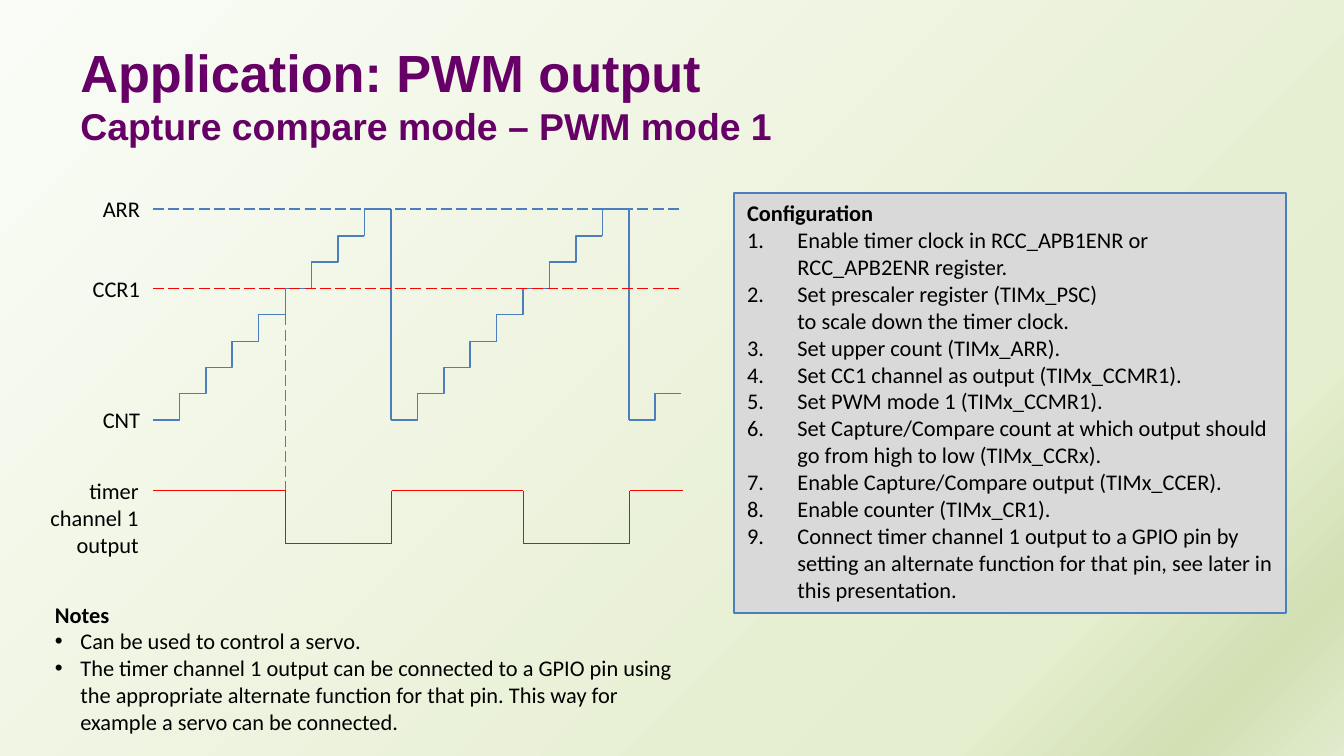
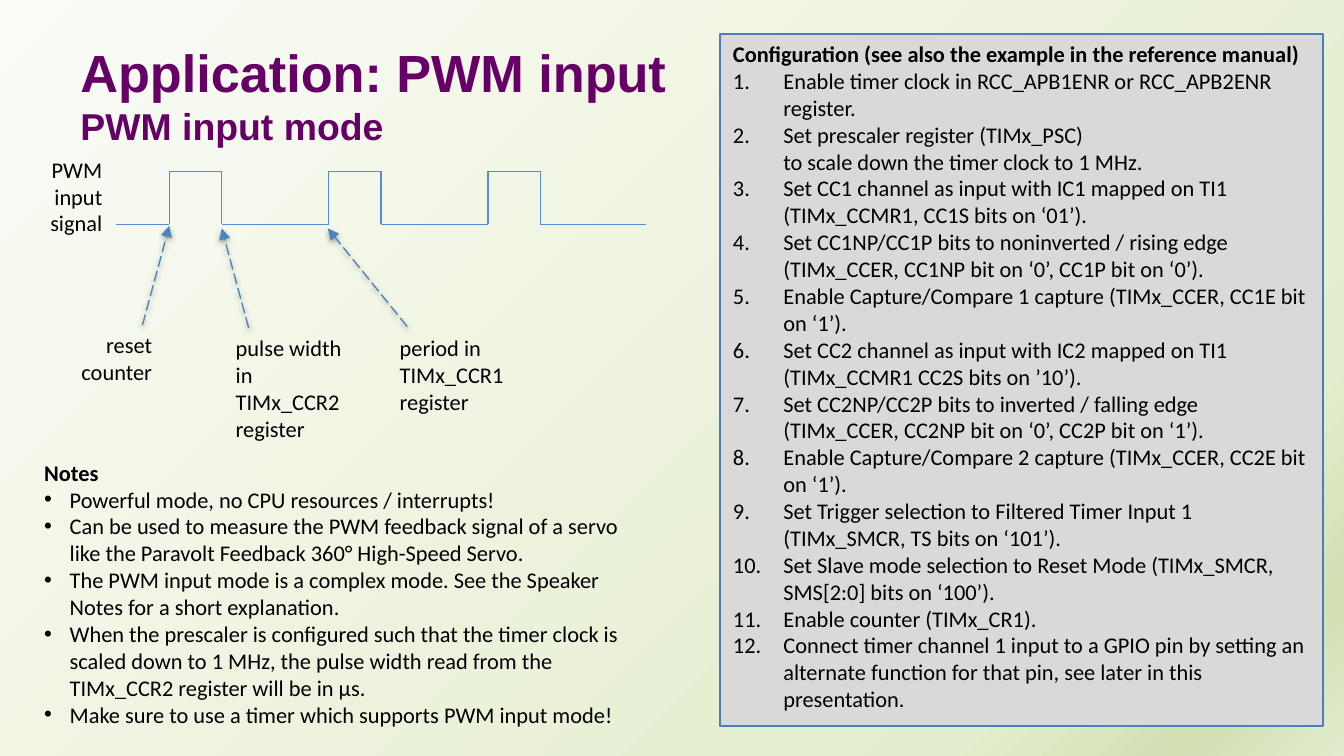
from copy import deepcopy
from itertools import pairwise

from lxml.etree import SubElement
from pptx import Presentation
from pptx.dml.color import RGBColor
from pptx.enum.dml import MSO_LINE_DASH_STYLE as Dash
from pptx.enum.shapes import MSO_CONNECTOR as Wire, MSO_SHAPE as Shape
from pptx.enum.text import MSO_ANCHOR as Anchor, PP_ALIGN as Align
from pptx.oxml.ns import qn
from pptx.util import Pt

PX = 4572  # EMU per px, 200 px to the inch
PURPLE = RGBColor(0x66, 0x00, 0x66)
BLACK = RGBColor(0x00, 0x00, 0x00)
GRAY = RGBColor(0xD9, 0xD9, 0xD9)
BLUE = RGBColor(0x4B, 0x7E, 0xBC)
SKY = RGBColor(0x55, 0x8E, 0xD5)
STEEL = RGBColor(0x4F, 0x81, 0xBD)
RED = RGBColor(0xFF, 0x00, 0x00)
BACKDROP = [(0, "FAFCF7"), (81, "E4EDCD"), (92, "D2E0B4"), (100, "E1EBCD")]

CONTENT = [
    {
        "title": ("Application: PWM output", "Capture compare mode – PWM mode 1"),
        "notes_area": (62, 884, 968, 222),
        "notes": [
            "Notes",
            "Can be used to control a servo.",
            "The timer channel 1 output can be connected to a GPIO pin using the appropriate "
            "alternate function for that pin. This way for example a servo can be connected.",
        ],
        "steps_area": (1092, 287, 822, 626),
        "steps": [
            "Configuration",
            "Enable timer clock in RCC_APB1ENR or RCC_APB2ENR register.",
            "Set prescaler register (TIMx_PSC)\nto scale down the timer clock.",
            "Set upper count (TIMx_ARR).",
            "Set CC1 channel as output (TIMx_CCMR1).",
            "Set PWM mode 1 (TIMx_CCMR1).",
            "Set Capture/Compare count at which output should go from high to low (TIMx_CCRx).",
            "Enable Capture/Compare output (TIMx_CCER).",
            "Enable counter (TIMx_CR1).",
            "Connect timer channel 1 output to a GPIO pin by setting an alternate function "
            "for that pin, see later in this presentation.",
        ],
        "labels": [
            ("ARR", (38, 280, 190, 60), Align.RIGHT),
            ("CCR1", (38, 400, 190, 60), Align.RIGHT),
            ("CNT", (38, 594, 190, 60), Align.RIGHT),
            ("timer channel 1 output", (38, 700, 188, 142), Align.RIGHT),
        ],
    },
    {
        "title": ("Application: PWM input", "PWM input mode"),
        "notes_area": (46, 673, 916, 424),
        "notes": [
            "Notes",
            "Powerful mode, no CPU resources / interrupts!",
            "Can be used to measure the PWM feedback signal of a servo like the "
            "Paravolt Feedback 360° High-Speed Servo.",
            "The PWM input mode is a complex mode. See the Speaker Notes for a short explanation.",
            "When the prescaler is configured such that the timer clock is scaled down to 1 MHz, "
            "the pulse width read from the TIMx_CCR2 register will be in µs.",
            "Make sure to use a timer which supports PWM input mode!",
        ],
        "steps_area": (1071, 50, 898, 1030),
        "steps": [
            "Configuration (see also the example in the reference manual)",
            "Enable timer clock in RCC_APB1ENR or RCC_APB2ENR register.",
            "Set prescaler register (TIMx_PSC)\nto scale down the timer clock to 1 MHz.",
            "Set CC1 channel as input with IC1 mapped on TI1 (TIMx_CCMR1, CC1S bits on ‘01’).",
            "Set CC1NP/CC1P bits to noninverted / rising edge "
            "(TIMx_CCER, CC1NP bit on ‘0’, CC1P bit on ‘0’).",
            "Enable Capture/Compare 1 capture (TIMx_CCER, CC1E bit on ‘1’).",
            "Set CC2 channel as input with IC2 mapped on TI1 (TIMx_CCMR1 CC2S bits on ’10’).",
            "Set CC2NP/CC2P bits to inverted / falling edge "
            "(TIMx_CCER, CC2NP bit on ‘0’, CC2P bit on ‘1’).",
            "Enable Capture/Compare 2 capture (TIMx_CCER, CC2E bit on ‘1’).",
            "Set Trigger selection to Filtered Timer Input 1 (TIMx_SMCR, TS bits on ‘101’).",
            "Set Slave mode selection to Reset Mode (TIMx_SMCR, SMS[2:0] bits on ‘100’).",
            "Enable counter (TIMx_CR1).",
            "Connect timer channel 1 input to a GPIO pin by setting an alternate function "
            "for that pin, see later in this presentation.",
        ],
        "labels": [
            ("PWM input signal", (0, 222, 172, 142), Align.RIGHT),
            ("reset counter", (90, 483, 156, 100), Align.RIGHT),
            ("pulse width in TIMx_CCR2 register", (331, 488, 218, 182), Align.LEFT),
            ("period in TIMx_CCR1 register", (575, 487, 218, 142), Align.LEFT),
        ],
    },
]


def write(box, rows, mark=None, align=Align.LEFT, sizes=(12,), font="Calibri",
          color=BLACK, bold=False):
    """Fill a box; with a mark, the first row is a bold heading over a list."""
    frame = box.text_frame
    frame.word_wrap = True
    for number, row in enumerate(rows):
        para = frame.add_paragraph() if number else frame.paragraphs[0]
        para.alignment = align
        if mark and number:
            indent = (75 if mark == "buAutoNum" else 38) * PX
            props = para._p.get_or_add_pPr()
            props.set("marL", str(indent))
            props.set("indent", str(-indent))
            if mark == "buAutoNum":
                SubElement(props, qn("a:buAutoNum"), type="arabicPeriod")
            else:
                SubElement(props, qn("a:buFont"), typeface="Arial")
                SubElement(props, qn("a:buChar"), char="•")
        for part, text in enumerate(row.split("\n")):
            if part:
                para.add_line_break()
                para._p[-1].append(deepcopy(span._r.rPr))
            span = para.add_run()
            span.text = text
            span.font.name = font
            span.font.size = Pt(sizes[part % len(sizes)])
            span.font.color.rgb = color
            span.font.bold = bold or bool(mark and not number)


def draw(page, points, color, kind=Wire.STRAIGHT, dashed=False, arrow=False):
    """Join the points, one connector for each pair."""
    for start, end in pairwise(points):
        wire = page.shapes.add_connector(kind, *[value * PX for value in (*start, *end)])
        wire.line.color.rgb = color
        wire.line.width = Pt(0.75)
        if dashed:
            wire.line.dash_style = Dash.LONG_DASH
        props = wire._element.spPr
        effects = SubElement(props, qn("a:effectLst"))
        if arrow:
            SubElement(props.find(qn("a:ln")), qn("a:tailEnd"), type="triangle")
            shadow = SubElement(effects, qn("a:outerShdw"), blurRad=str(Pt(3.1)),
                                dist=str(Pt(1.6)), dir="5400000", rotWithShape="0")
            tint = SubElement(shadow, qn("a:srgbClr"), val="000000")
            SubElement(tint, qn("a:alpha"), val="38000")


deck = Presentation()
deck.slide_width = 2000 * PX
deck.slide_height = 1125 * PX

# Backdrop, title, notes, configuration and labels
for content in CONTENT:
    page = deck.slides.add_slide(deck.slide_layouts[6])
    page.background.fill.gradient()
    gradient = page._element.find(".//" + qn("a:gradFill"))
    stops = gradient.find(qn("a:gsLst"))
    stops.clear()
    for place, tone in BACKDROP:
        stop = SubElement(stops, qn("a:gs"), pos=str(place * 1000))
        SubElement(stop, qn("a:srgbClr"), val=tone)
    gradient.find(qn("a:lin")).set("ang", "2700000")

    box = page.shapes.add_textbox(*[value * PX for value in (100, 46, 1782, 188)])
    box.text_frame.vertical_anchor = Anchor.MIDDLE
    write(box, ["\n".join(content["title"])], sizes=(28, 20), font="Arial",
          color=PURPLE, bold=True)

    box = page.shapes.add_textbox(*[value * PX for value in content["notes_area"]])
    write(box, content["notes"], mark="buChar")

    box = page.shapes.add_shape(Shape.RECTANGLE,
                                *[value * PX for value in content["steps_area"]])
    box.shadow.inherit = False
    box.fill.solid()
    box.fill.fore_color.rgb = GRAY
    box.line.color.rgb = BLUE
    box.line.width = Pt(1)
    box.text_frame.vertical_anchor = Anchor.TOP
    write(box, content["steps"], mark="buAutoNum")

    for text, area, align in content["labels"]:
        box = page.shapes.add_textbox(*[value * PX for value in area])
        write(box, [text], align=align)

output_page, input_page = deck.slides

# Counter staircase: nine treads per period, each elbow spans two half-overlapping treads
LEFT, RIGHT, PERIOD, ZERO, TOP = 228, 1016, 354, 625, 311
for period, elbows in enumerate((8, 8, 1)):
    start = LEFT + period * PERIOD
    for step in range(elbows):
        x1, x2 = [start + tread * PERIOD // 9 for tread in (step, step + 2)]
        y1, y2 = [ZERO - rise * (ZERO - TOP) // 8 for rise in (step, step + 1)]
        draw(output_page, [(x1, y1), (x2, y2)], BLUE, kind=Wire.ELBOW)
    if period:
        draw(output_page, [(start, TOP), (start, ZERO)], BLUE)

# Levels and compare moment
draw(output_page, [(LEFT, TOP), (RIGHT, TOP)], BLUE, dashed=True)
draw(output_page, [(LEFT, 429), (RIGHT, 429)], RED, dashed=True)
draw(output_page, [(425, 468), (425, 730)], BLUE, dashed=True)

# Channel output: high until the compare match, low until the reload
HIGH, LOW = 730, 809
points = [(LEFT, HIGH)]
for period in range(2):
    fall, rise = 425 + period * PERIOD, 583 + period * PERIOD
    points += [(fall, HIGH), (fall, LOW), (rise, LOW), (rise, HIGH)]
draw(output_page, points + [(RIGHT, HIGH)], RED)

# Input signal: three pulses
HIGH, LOW = 255, 334
points = [(172, LOW)]
for pulse in range(3):
    rise = 252 + pulse * 237
    fall = rise + 78
    points += [(rise, LOW), (rise, HIGH), (fall, HIGH), (fall, LOW)]
draw(input_page, points + [(962, LOW)], SKY)

# Arrows from the labels to the edges
for start, end in [((212, 484), (252, 336)), ((370, 488), (330, 340)), ((606, 486), (488, 340))]:
    draw(input_page, [start, end], STEEL, dashed=True, arrow=True)

deck.save("out.pptx")
